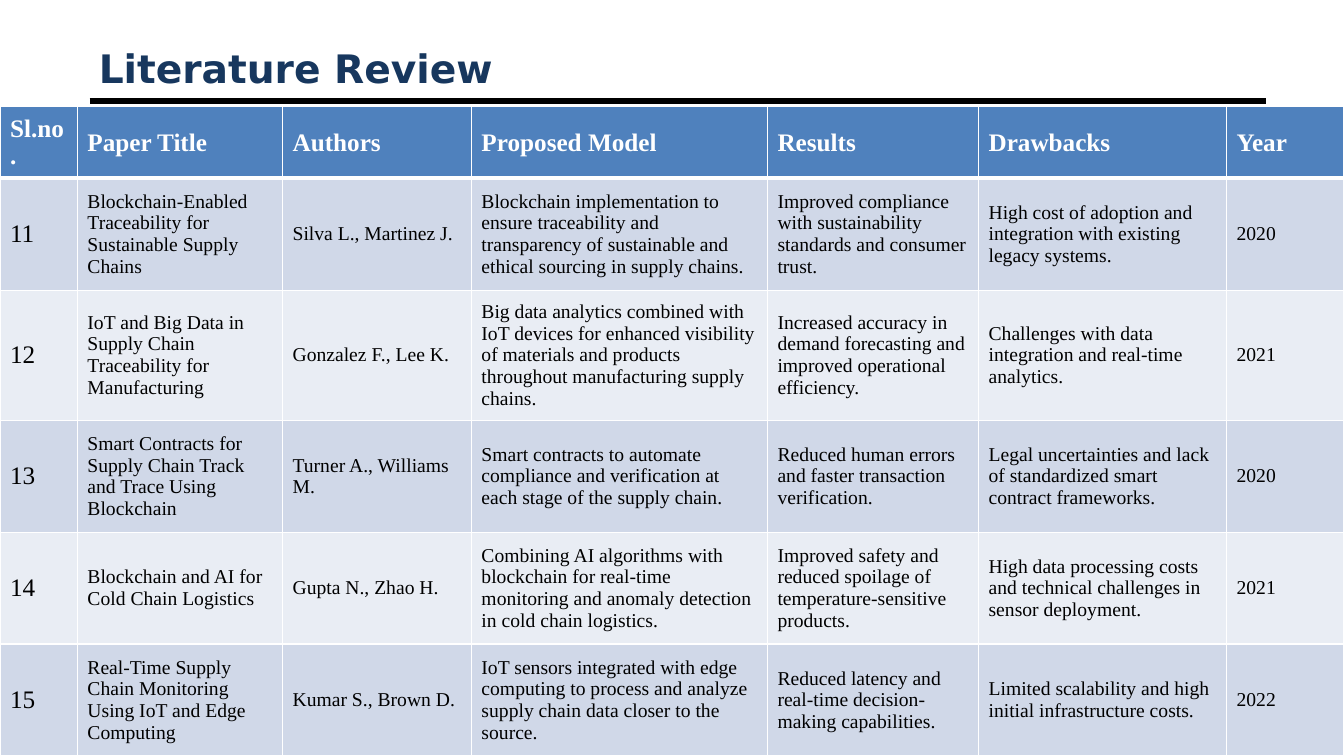
"""Build the Literature Review slide with its table of papers."""
from dataclasses import astuple, dataclass

from lxml import etree
from pptx import Presentation
from pptx.dml.color import RGBColor
from pptx.enum.shapes import MSO_CONNECTOR
from pptx.enum.text import MSO_ANCHOR, MSO_AUTO_SIZE
from pptx.oxml.ns import qn
from pptx.util import Cm, Pt

STRAIGHT = MSO_CONNECTOR.STRAIGHT
MIDDLE = MSO_ANCHOR.MIDDLE
FIT_SHAPE = MSO_AUTO_SIZE.SHAPE_TO_FIT_TEXT

COLORS = {
    "title": "17375E",
    "rule": "000000",
    "header": "4F81BD",
    "header_text": "FFFFFF",
    "odd_row": "D0D8E8",
    "even_row": "E9EDF4",
    "body_text": "000000",
    "border": "FFFFFF",
}
TITLE_FONT = "DejaVu Sans"
TABLE_FONT = "Times New Roman"
SLIDE_WIDTH, SLIDE_HEIGHT = 33.87, 19.05
TABLE_TOP = 2.69
COLUMN_WIDTHS = (1.95, 5.17, 4.76, 7.46, 5.32, 6.25, 2.96)
ROW_HEIGHTS = (1.8, 2.82, 3.28, 2.82, 2.82, 2.82)
THIN, THICK = 1, 3


@dataclass(frozen=True)
class Paper:
    number: str
    title: str
    authors: str
    model: str
    results: str
    drawbacks: str
    year: str


@dataclass(frozen=True)
class CellStyle:
    fill: str
    text: str
    size: int
    bold: bool
    top_border: int
    bottom_border: int


HEADER = Paper("Sl.no.", "Paper Title", "Authors", "Proposed Model", "Results", "Drawbacks", "Year")
PAPERS = (
    Paper(
        "11",
        "Blockchain-Enabled Traceability for Sustainable Supply Chains",
        "Silva L., Martinez J.",
        "Blockchain implementation to ensure traceability and transparency of sustainable "
        "and ethical sourcing in supply chains.",
        "Improved compliance with sustainability standards and consumer trust.",
        "High cost of adoption and integration with existing legacy systems.",
        "2020",
    ),
    Paper(
        "12",
        "IoT and Big Data in Supply Chain Traceability for Manufacturing",
        "Gonzalez F., Lee K.",
        "Big data analytics combined with IoT devices for enhanced visibility of materials "
        "and products throughout manufacturing supply chains.",
        "Increased accuracy in demand forecasting and improved operational efficiency.",
        "Challenges with data integration and real-time analytics.",
        "2021",
    ),
    Paper(
        "13",
        "Smart Contracts for Supply Chain Track and Trace Using Blockchain",
        "Turner A., Williams M.",
        "Smart contracts to automate compliance and verification at each stage of the "
        "supply chain.",
        "Reduced human errors and faster transaction verification.",
        "Legal uncertainties and lack of standardized smart contract frameworks.",
        "2020",
    ),
    Paper(
        "14",
        "Blockchain and AI for Cold Chain Logistics",
        "Gupta N., Zhao H.",
        "Combining AI algorithms with blockchain for real-time monitoring and anomaly "
        "detection in cold chain logistics.",
        "Improved safety and reduced spoilage of temperature-sensitive products.",
        "High data processing costs and technical challenges in sensor deployment.",
        "2021",
    ),
    Paper(
        "15",
        "Real-Time Supply Chain Monitoring Using IoT and Edge Computing",
        "Kumar S., Brown D.",
        "IoT sensors integrated with edge computing to process and analyze supply chain "
        "data closer to the source.",
        "Reduced latency and real-time decision-making capabilities.",
        "Limited scalability and high initial infrastructure costs.",
        "2022",
    ),
)


def color(name: str) -> RGBColor:
    return RGBColor.from_string(COLORS[name])


def set_font(paragraph, name: str, size: int, color_name: str, bold: bool) -> None:
    font = paragraph.font
    font.name = name
    font.size = Pt(size)
    font.bold = bold
    font.color.rgb = color(color_name)


def add_title_rule(slide) -> None:
    rule = slide.shapes.add_connector(STRAIGHT, Cm(2.26), Cm(2.54), Cm(31.9), Cm(2.54))
    rule.line.color.rgb = color("rule")
    rule.line.width = Pt(4.5)
    etree.SubElement(rule._element.spPr, qn("a:effectLst"))


def add_title(slide) -> None:
    box = slide.shapes.add_textbox(Cm(2.24), Cm(0.99), Cm(16.94), Cm(1.45))
    frame = box.text_frame
    frame.word_wrap = True
    frame.auto_size = FIT_SHAPE
    frame.text = "Literature Review"
    set_font(frame.paragraphs[0], TITLE_FONT, 28, "title", True)


def add_borders(cell, style: CellStyle) -> None:
    properties = cell._tc.get_or_add_tcPr()
    widths = {"lnL": THIN, "lnR": THIN, "lnT": style.top_border, "lnB": style.bottom_border}
    for tag, width in widths.items():
        line = etree.SubElement(properties, qn(f"a:{tag}"), w=str(Pt(width)))
        fill = etree.SubElement(line, qn("a:solidFill"))
        etree.SubElement(fill, qn("a:srgbClr"), val=COLORS["border"])


def fill_cell(cell, text: str, style: CellStyle) -> None:
    add_borders(cell, style)
    cell.fill.solid()
    cell.fill.fore_color.rgb = color(style.fill)
    cell.vertical_anchor = MIDDLE
    cell.text = text
    set_font(cell.text_frame.paragraphs[0], TABLE_FONT, style.size, style.text, style.bold)


def cell_style(row: int, column: int) -> CellStyle:
    if row == 0:
        return CellStyle("header", "header_text", 18, True, THIN, THICK)
    fill = "odd_row" if row % 2 else "even_row"
    size = 18 if column == 0 else 14
    return CellStyle(fill, "body_text", size, False, THICK if row == 1 else THIN, THIN)


def add_review_table(slide) -> None:
    table = slide.shapes.add_table(
        len(ROW_HEIGHTS), len(COLUMN_WIDTHS),
        Cm(0), Cm(TABLE_TOP), Cm(sum(COLUMN_WIDTHS)), Cm(sum(ROW_HEIGHTS)),
    ).table
    for column, width in zip(table.columns, COLUMN_WIDTHS):
        column.width = Cm(width)
    for row, height in zip(table.rows, ROW_HEIGHTS):
        row.height = Cm(height)
    for row_index, paper in enumerate((HEADER, *PAPERS)):
        for column_index, text in enumerate(astuple(paper)):
            style = cell_style(row_index, column_index)
            fill_cell(table.cell(row_index, column_index), text, style)


def main() -> None:
    presentation = Presentation()
    presentation.slide_width = Cm(SLIDE_WIDTH)
    presentation.slide_height = Cm(SLIDE_HEIGHT)
    slide = presentation.slides.add_slide(presentation.slide_layouts[6])
    add_title_rule(slide)
    add_title(slide)
    add_review_table(slide)
    presentation.save("out.pptx")


if __name__ == "__main__":
    main()
